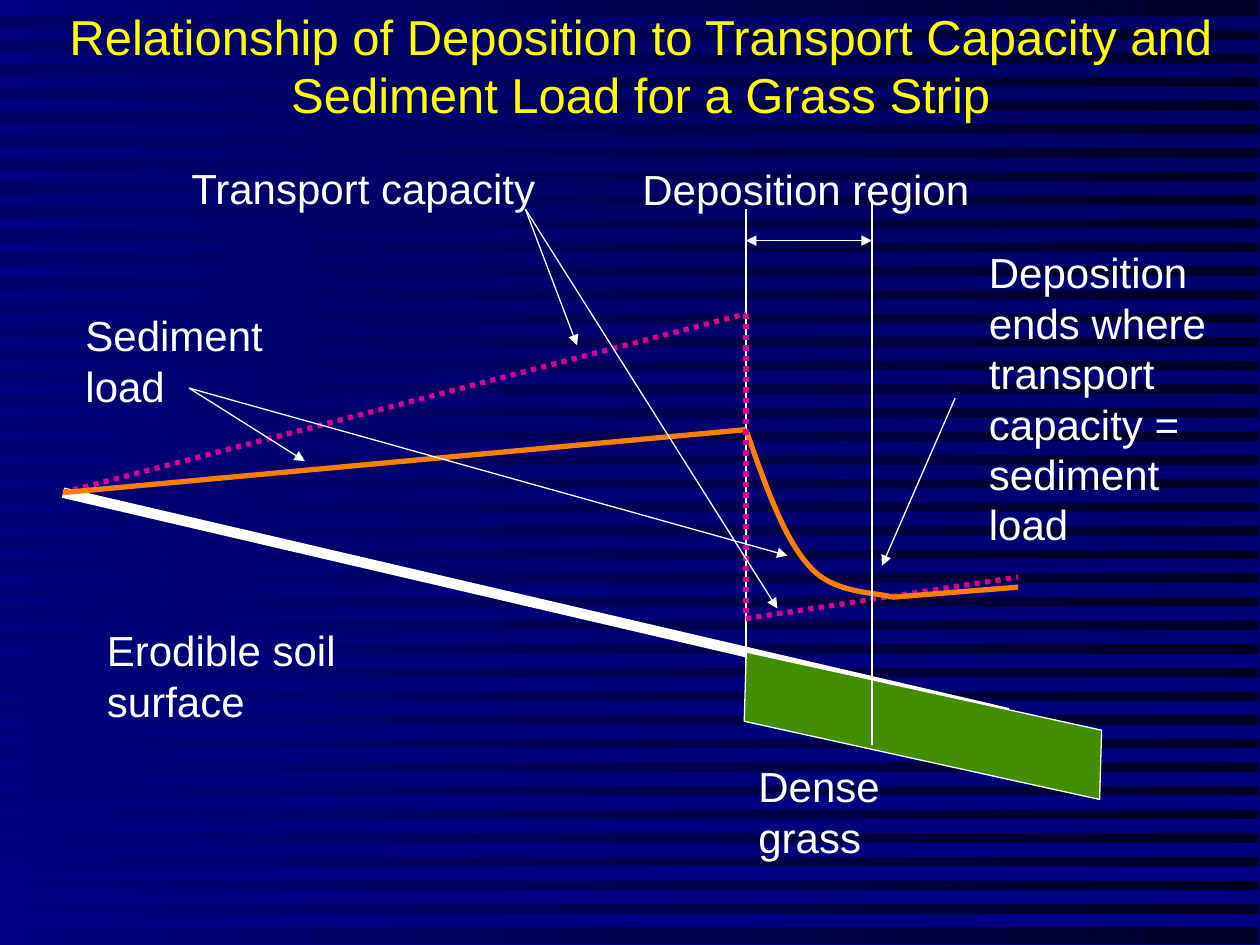
from typing import NamedTuple

from lxml.etree import SubElement
from pptx import Presentation
from pptx.dml.color import RGBColor
from pptx.enum.dml import MSO_LINE
from pptx.enum.shapes import MSO_CONNECTOR, MSO_SHAPE
from pptx.enum.text import MSO_AUTO_SIZE as AutoSize, PP_ALIGN as Align
from pptx.oxml.ns import qn
from pptx.util import Emu, Pt

PX = 9144  # EMU per px, 100 px to the inch
WHITE, YELLOW, ORANGE = "FFFFFF", "FFFF00", "FF8000"
MAGENTA, GREEN = "D60093", "438E00"
NIGHT, DEEP, NAVY = "000026", "000066", "000080"

# Shared positions of the diagram
SLOPE_TOP = (50, 391)
STRIP_X, END_X = 592, 692
LOAD_PEAK, LOAD_LOW = (STRIP_X, 341), (708, 474)
CAPACITY_PEAK, CAPACITY_LOW = (STRIP_X, 249), (STRIP_X, 491)
CAPACITY_SOURCE, LOAD_SOURCE = (417, 166), (150, 308)


class Line(NamedTuple):
    start: tuple[int, int]
    end: tuple[int, int]
    color: str = WHITE
    width: float = 0.75
    dotted: bool = False
    heads: tuple[str, ...] = ()


class Label(NamedTuple):
    text: str
    left: int
    top: int
    width: int
    height: int
    size: int = 24
    color: str = WHITE
    align: Align = Align.LEFT


TAIL = ("tailEnd",)
BOTH = ("headEnd", "tailEnd")

LINES_BEHIND_GRASS = [
    Line(SLOPE_TOP, (800, 566), width=6),
    Line((STRIP_X, 166), (STRIP_X, 566)),
    Line(SLOPE_TOP, CAPACITY_PEAK, MAGENTA, 3, True),
    Line(CAPACITY_LOW, (808, 458), MAGENTA, 3, True),
    Line(SLOPE_TOP, LOAD_PEAK, ORANGE, 3),
    Line(LOAD_LOW, (808, 466), ORANGE, 3),
]
LINES_ABOVE_GRASS = [
    Line(CAPACITY_PEAK, CAPACITY_LOW, MAGENTA, 3, True),
    Line((END_X, 158), (END_X, 591)),
    Line((STRIP_X, 191), (END_X, 191), heads=BOTH),
    Line((758, 316), (700, 449), heads=TAIL),
    Line(CAPACITY_SOURCE, (458, 274), heads=TAIL),
    Line(CAPACITY_SOURCE, (617, 483), heads=TAIL),
    Line(LOAD_SOURCE, (242, 366), heads=TAIL),
    Line(LOAD_SOURCE, (625, 441), heads=TAIL),
]
LOAD_CURVE = [
    (LOAD_PEAK, (607, 384), (622, 427), (642, 449)),
    ((642, 449), (661, 472), (697, 470), LOAD_LOW),
]
LABELS = [
    Label("Dense grass", 592, 599, 192, 90),
    Label("Erodible soil surface", 75, 491, 258, 90),
    Label("Deposition region", 500, 125, 350, 50),
    Label("Deposition ends where transport capacity = sediment load",
          775, 191, 225, 250),
    Label("Transport capacity", 142, 124, 300, 50),
    Label("Sediment load", 58, 241, 200, 90),
    Label("Relationship of Deposition to Transport Capacity and "
          "Sediment Load for a Grass Strip",
          17, 0, 983, 104, 28, YELLOW, Align.CENTER),
]


def px(value: float) -> Emu:
    return Emu(round(value * PX))


def rgb(color: str) -> RGBColor:
    return RGBColor.from_string(color)


def apply_format(target, values: dict) -> None:
    for name, value in values.items():
        setattr(target, name, value)


def fill_gradient(fill, first: str, last: str, angle: int) -> None:
    fill.gradient()
    fill.gradient_angle = angle
    for stop, color in zip(fill.gradient_stops, (first, last)):
        stop.color.rgb = rgb(color)


def style_line(line, color: str, width: float) -> None:
    line.color.rgb = rgb(color)
    line.width = Pt(width)


def draw_line(slide, item: Line) -> None:
    connector = slide.shapes.add_connector(
        MSO_CONNECTOR.STRAIGHT, *map(px, item.start + item.end))
    style_line(connector.line, item.color, item.width)
    if item.dotted:
        connector.line.dash_style = MSO_LINE.ROUND_DOT
    properties = connector._element.spPr
    for head in item.heads:
        SubElement(properties.find(qn("a:ln")), qn(f"a:{head}"), type="triangle")
    SubElement(properties, qn("a:effectLst"))


def draw_label(slide, item: Label) -> None:
    box = slide.shapes.add_textbox(
        *map(px, (item.left, item.top, item.width, item.height)))
    apply_format(box.text_frame, {
        "word_wrap": True, "auto_size": AutoSize.SHAPE_TO_FIT_TEXT})
    paragraph = box.text_frame.paragraphs[0]
    paragraph.alignment = item.align
    run = paragraph.add_run()
    run.text = item.text
    apply_format(run.font, {"name": "Arial", "size": Pt(item.size)})
    run.font.color.rgb = rgb(item.color)


def draw_outline(slide, points: list[tuple[float, float]], close: bool):
    (start_x, start_y), *rest = [(px(x), px(y)) for x, y in points]
    builder = slide.shapes.build_freeform(start_x, start_y)
    builder.add_line_segments(rest, close=close)
    shape = builder.convert_to_shape()
    shape.shadow.inherit = False
    return shape


def draw_backdrop(slide) -> None:
    fill_gradient(slide.background.fill, DEEP, NAVY, 270)
    panel = slide.shapes.add_shape(MSO_SHAPE.RECTANGLE, 0, 0, px(999), px(749))
    panel.shadow.inherit = False
    panel.line.fill.background()
    fill_gradient(panel.fill, NIGHT, NAVY, 180)

    # Stripes joined along the right edge into one comb
    points = []
    for index in range(39):
        top = 13 + 18.75 * index
        bottom = top + 10.5
        points += [(1000, top), (0, top), (0, bottom), (1000, bottom)]
    stripes = draw_outline(slide, points, True)
    stripes.line.fill.background()
    fill_gradient(stripes.fill, DEEP, NAVY, 270)


def bezier_point(curve, t: float) -> tuple[float, float]:
    weights = ((1 - t) ** 3, 3 * t * (1 - t) ** 2, 3 * t * t * (1 - t), t ** 3)
    return tuple(sum(w * point[axis] for w, point in zip(weights, curve))
                 for axis in (0, 1))


def draw_load_curve(slide, steps: int = 16) -> None:
    points = [LOAD_PEAK] + [bezier_point(curve, step / steps)
                            for curve in LOAD_CURVE
                            for step in range(1, steps + 1)]
    shape = draw_outline(slide, points, False)
    shape.fill.background()
    style_line(shape.line, ORANGE, 3)


def draw_grass(slide) -> None:
    grass = slide.shapes.add_shape(
        MSO_SHAPE.PARALLELOGRAM, *map(px, (583, 549, 299, 54)))
    grass.shadow.inherit = False
    grass.adjustments[0] = 0.19
    grass.rotation = 12.4
    grass._element.spPr.xfrm.set("flipV", "1")
    grass.fill.solid()
    grass.fill.fore_color.rgb = rgb(GREEN)
    style_line(grass.line, WHITE, 0.75)


def main() -> None:
    presentation = Presentation()
    apply_format(presentation, {"slide_width": px(1000), "slide_height": px(750)})
    slide = presentation.slides.add_slide(presentation.slide_layouts[6])
    draw_backdrop(slide)
    for line in LINES_BEHIND_GRASS:
        draw_line(slide, line)
    draw_load_curve(slide)
    draw_grass(slide)
    for line in LINES_ABOVE_GRASS:
        draw_line(slide, line)
    for label in LABELS:
        draw_label(slide, label)
    presentation.save("out.pptx")


if __name__ == "__main__":
    main()
